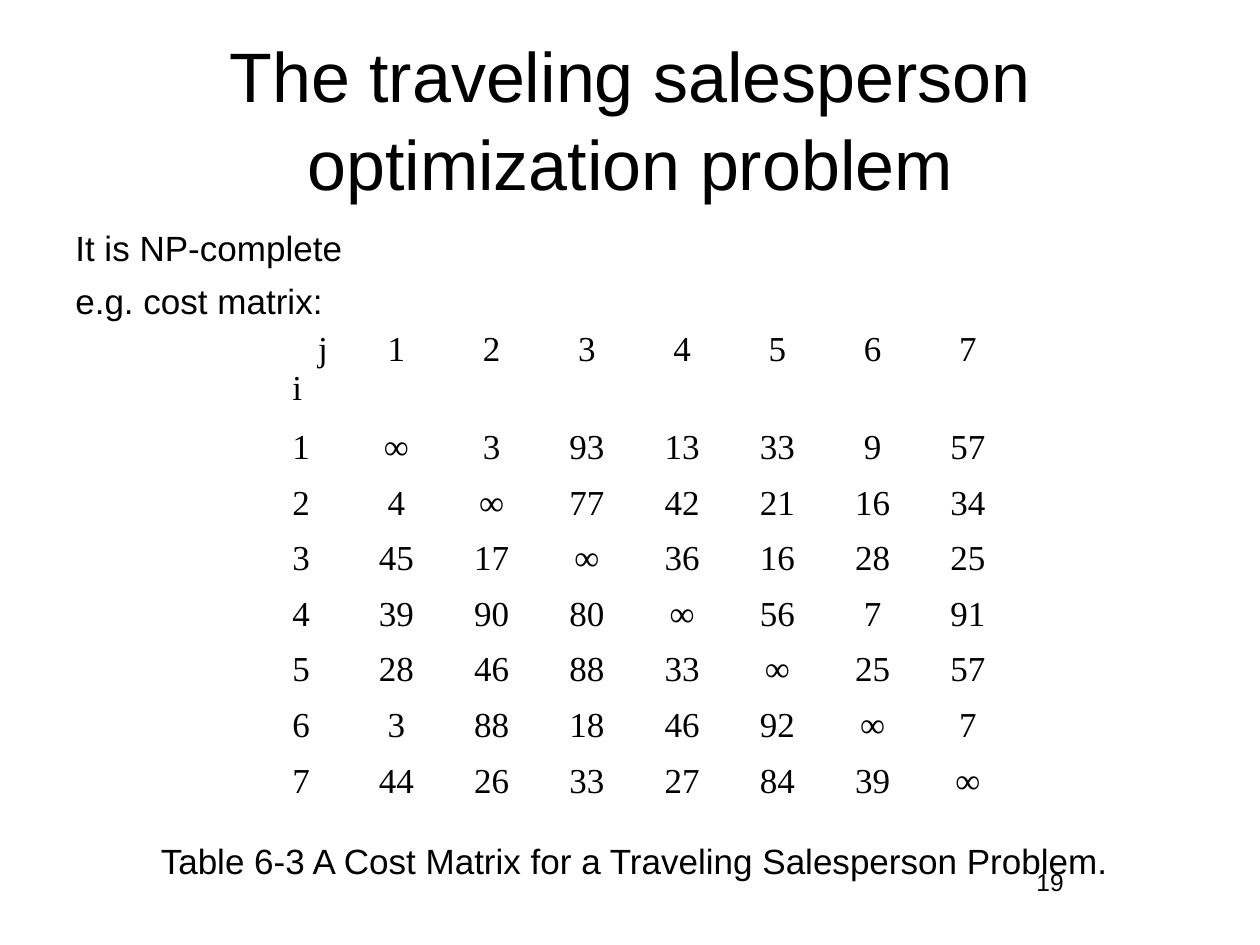
from dataclasses import dataclass

from pptx import Presentation
from pptx import util as u
from pptx.dml.color import RGBColor
from pptx.enum import text as t


@dataclass(frozen=True)
class Theme:
    ink: RGBColor = RGBColor(0, 0, 0)
    sans: str = "Arial"
    serif: str = "Times New Roman"
    title: int = 40
    body: int = 20
    number: int = 14


THEME = Theme()
LEFT, CENTER = t.PP_ALIGN.LEFT, t.PP_ALIGN.CENTER

COSTS = [
    ["∞", 3, 93, 13, 33, 9, 57],
    [4, "∞", 77, 42, 21, 16, 34],
    [45, 17, "∞", 36, 16, 28, 25],
    [39, 90, 80, "∞", 56, 7, 91],
    [28, 46, 88, 33, "∞", 25, 57],
    [3, 88, 18, 46, 92, "∞", 7],
    [44, 26, 33, 27, 84, 39, "∞"],
]


def write(frame, text, *, size=THEME.body, font=THEME.sans, align=LEFT,
          before=0, spacing=None, indent=0):
    """Fill the frame's empty first paragraph, or append a new one."""
    para = frame.paragraphs[0]
    if para.runs:
        para = frame.add_paragraph()
    para.alignment = align
    para.space_before = u.Pt(before)
    if spacing:
        para.line_spacing = spacing
    if indent:
        para._p.get_or_add_pPr().set("marL", str(u.Cm(indent)))
    span = para.add_run()
    span.text = text
    span.font.size = u.Pt(size)
    span.font.name = font
    span.font.color.rgb = THEME.ink


def add_box(page, left, top, width, height, anchor=t.MSO_ANCHOR.TOP):
    box = page.shapes.add_textbox(u.Cm(left), u.Cm(top), u.Cm(width), u.Cm(height))
    frame = box.text_frame
    frame.word_wrap = True
    frame.vertical_anchor = anchor
    return frame


def add_cost_table(page, costs):
    """Draw the matrix with city numbers along the top and left sides."""
    count = len(costs) + 1
    column_width, head_height, row_height = 1.92, 1.98, 1.12
    table = page.shapes.add_table(
        count, count, u.Cm(5.11), u.Cm(6.53), u.Cm(column_width * count),
        u.Cm(head_height + row_height * len(costs))).table
    table.first_row = table.horz_banding = False
    for column in table.columns:
        column.width = u.Cm(column_width)
    for index, row in enumerate(table.rows):
        row.height = u.Cm(row_height if index else head_height)
    for cell in table.iter_cells():
        cell.fill.background()

    corner = table.cell(0, 0).text_frame
    write(corner, "j", font=THEME.serif, indent=1.05)
    write(corner, "i", font=THEME.serif, indent=0.53)

    cities = range(1, count)
    values = {(0, city): city for city in cities}
    for city, row in zip(cities, costs):
        for column, value in enumerate([city, *row]):
            values[city, column] = value
    for place, value in values.items():
        write(table.cell(*place).text_frame, str(value),
              font=THEME.serif, align=CENTER)


def main():
    deck = Presentation()
    deck.slide_width, deck.slide_height = u.Cm(25.4), u.Cm(19.05)
    page = deck.slides.add_slide(deck.slide_layouts[6])

    title = add_box(page, 1.27, 0.76, 22.86, 3.18, t.MSO_ANCHOR.MIDDLE)
    write(title, "The traveling salesperson optimization problem",
          size=THEME.title, align=CENTER, spacing=1.05)

    body = add_box(page, 1.27, 4.45, 23.04, 13.49)
    write(body, "It is NP-complete")
    write(body, "e.g. cost matrix:", before=6)
    write(body, "Table 6-3 A Cost Matrix for a Traveling Salesperson Problem.",
          align=CENTER, before=296)

    add_cost_table(page, COSTS)
    write(add_box(page, 18.21, 17.35, 5.92, 1.32), "19",
          size=THEME.number, align=CENTER)
    deck.save("out.pptx")


if __name__ == "__main__":
    main()
